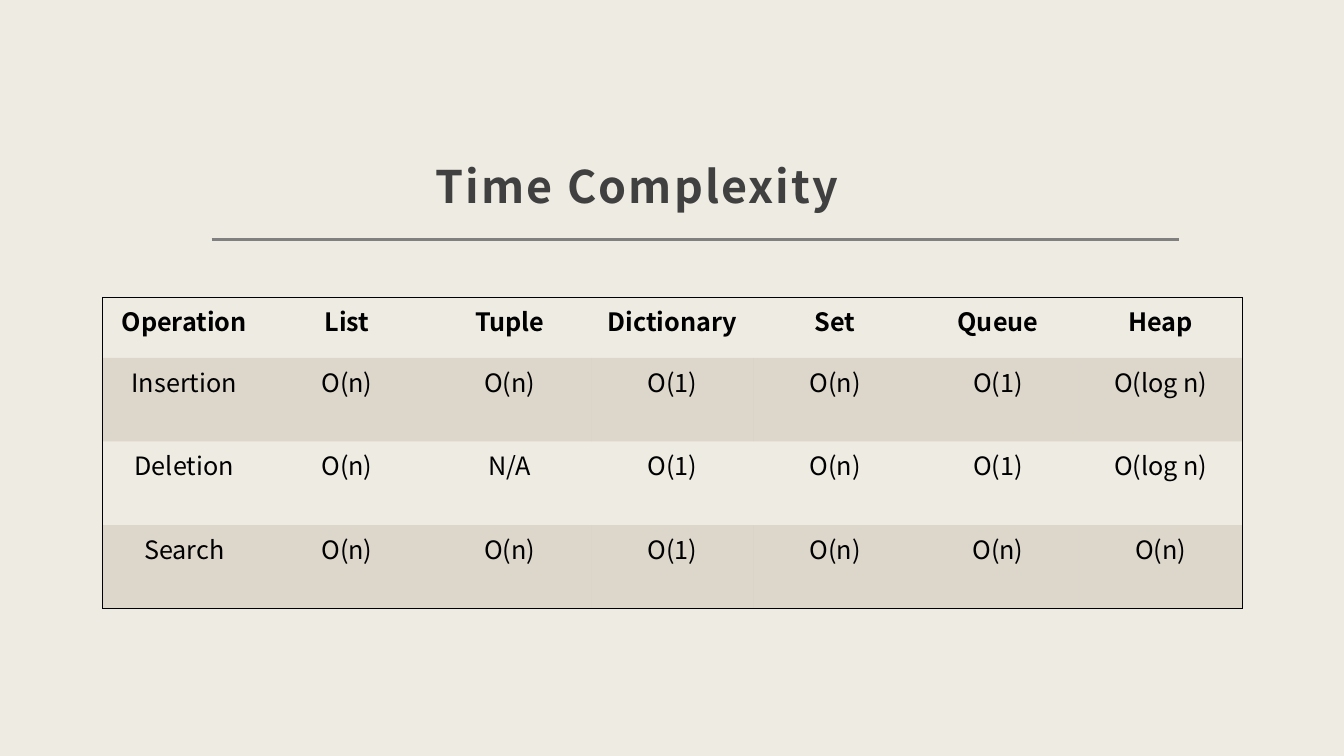
from lxml import etree
from pptx import Presentation
from pptx.dml.color import RGBColor
from pptx.enum.shapes import MSO_CONNECTOR
from pptx.enum.text import MSO_ANCHOR, PP_ALIGN
from pptx.oxml.ns import qn
from pptx.util import Inches, Pt

LINE = MSO_CONNECTOR.STRAIGHT
BOTTOM = MSO_ANCHOR.BOTTOM
CENTER = PP_ALIGN.CENTER
FONT = "Noto Sans CJK JP"
PLAIN = "{2D5ABB26-0587-4C30-8999-92F81FD0307C}"  # table style without grid
COLORS = {"back": "EEEBE2", "title": "404040", "rule": "808080",
          "text": "000000", "band": "968572"}
ROWS = [
    ["Operation", "List", "Tuple", "Dictionary", "Set", "Queue", "Heap"],
    ["Insertion", "O(n)", "O(n)", "O(1)", "O(n)", "O(1)", "O(log n)"],
    ["Deletion", "O(n)", "N/A", "O(1)", "O(n)", "O(1)", "O(log n)"],
    ["Search", "O(n)", "O(n)", "O(1)", "O(n)", "O(n)", "O(n)"],
]
HEAD, BODY = 0.6, 0.83
WIDTH = 11.3


def rgb(key):
    return RGBColor.from_string(COLORS[key])


def style(para, size, key, bold):
    font = para.font
    font.name, font.size, font.bold = FONT, Pt(size), bold
    font.color.rgb = rgb(key)


deck = Presentation()
deck.slide_width, deck.slide_height = Inches(13.33), Inches(7.5)
slide = deck.slides.add_slide(deck.slide_layouts[6])
slide.background.fill.solid()
slide.background.fill.fore_color.rgb = rgb("back")

# Title and the rule below it
rule = slide.shapes.add_connector(
    LINE, Inches(2.1), Inches(2.38), Inches(11.69), Inches(2.38))
rule.line.color.rgb = rgb("rule")
rule.line.width = Pt(2)
etree.SubElement(rule._element.spPr, qn("a:effectLst"))

title = slide.shapes.add_textbox(
    Inches(4.2), Inches(0.74), Inches(9.59), Inches(1.47))
frame = title.text_frame
frame.word_wrap = True
frame.vertical_anchor = BOTTOM
frame.margin_left = frame.margin_right = frame.margin_top = Inches(0.12)
frame.margin_bottom = Inches(0.1)
para = frame.paragraphs[0]
para.text = "Time Complexity"
para.line_spacing = 1.3
style(para, 32, "title", True)
para.runs[0].font._element.set("spc", "150")

# Table with an outer frame and a tint on every other row
count, span = len(ROWS), len(ROWS[0])
table = slide.shapes.add_table(
    count, span, Inches(1.02), Inches(2.95), Inches(WIDTH),
    Inches(HEAD + BODY * (count - 1))).table
table.first_row = table.horz_banding = False
table._tbl.tblPr.find(qn("a:tableStyleId")).text = PLAIN
for col in table.columns:
    col.width = Inches(WIDTH / span)

for r, row in enumerate(ROWS):
    table.rows[r].height = Inches(BODY if r else HEAD)
    for c, word in enumerate(row):
        cell = table.cell(r, c)
        para = cell.text_frame.paragraphs[0]
        para.text = word
        para.alignment = CENTER
        style(para, 18, "text", r == 0)

        props = cell._tc.get_or_add_tcPr()
        edges = {"lnL": c == 0, "lnR": c == span - 1,
                 "lnT": r == 0, "lnB": r == count - 1}
        for tag, outer in edges.items():
            if outer:
                edge = etree.SubElement(props, qn("a:" + tag), w=str(Pt(1)))
                fill = etree.SubElement(edge, qn("a:solidFill"))
                etree.SubElement(fill, qn("a:srgbClr"), val=COLORS["text"])
        if r % 2:
            cell.fill.solid()
            cell.fill.fore_color.rgb = rgb("band")
            tint = props.find(qn("a:solidFill")).find(qn("a:srgbClr"))
            etree.SubElement(tint, qn("a:alpha"), val="20000")
        else:
            cell.fill.background()

deck.save("out.pptx")
